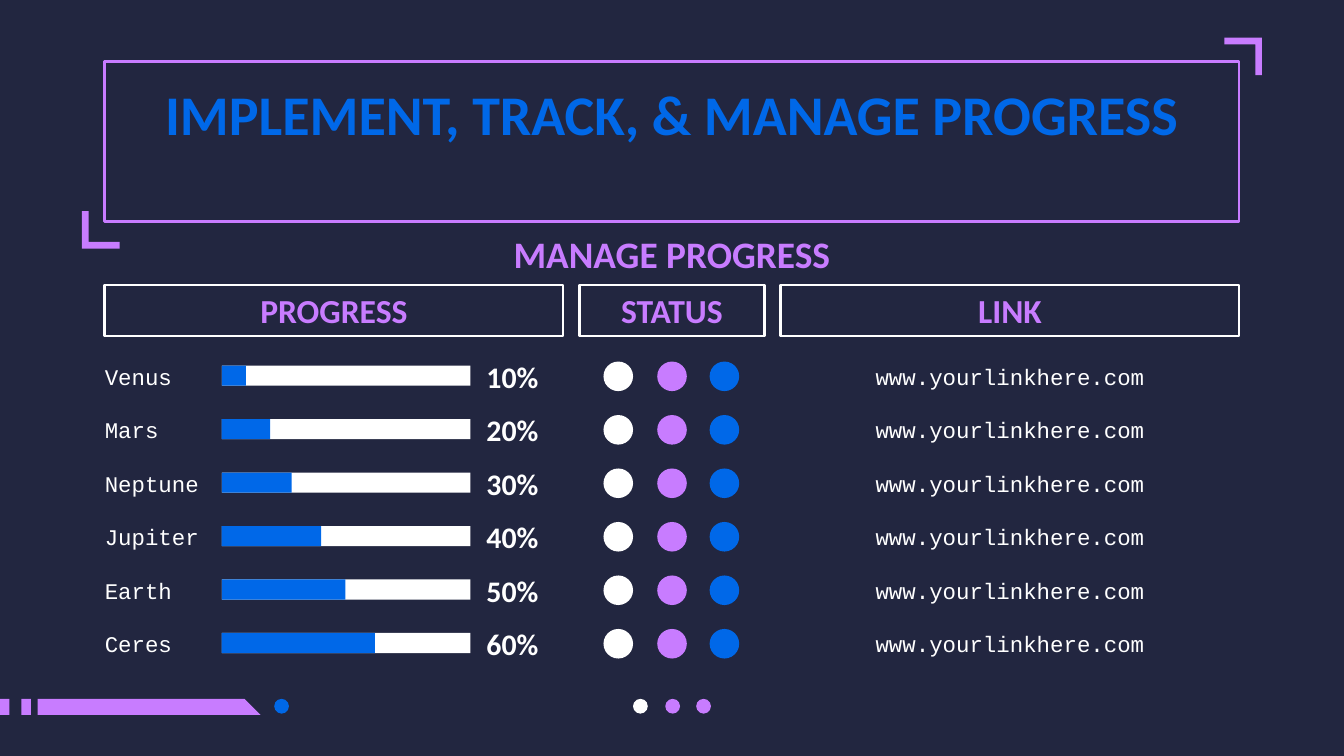
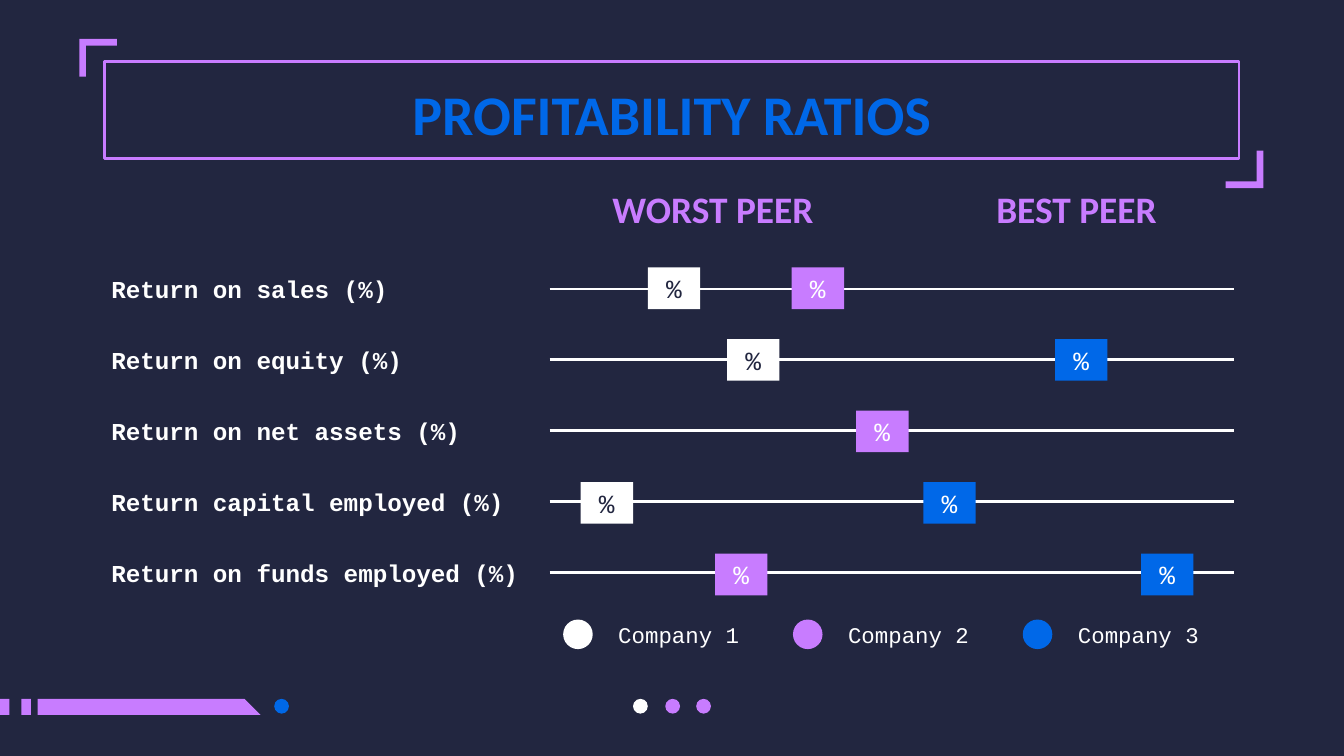
"""Build two dark slides: a progress tracker and a profitability comparison."""
from dataclasses import dataclass
from typing import NamedTuple

from lxml import etree
from pptx import Presentation
from pptx import util as u
from pptx.dml.color import RGBColor
from pptx.enum import shapes, text
from pptx.oxml.ns import qn

NAVY, PURPLE, BLUE, WHITE = "222640", "C87CFF", "0068E8", "FFFFFF"
SERIES = (WHITE, PURPLE, BLUE)
HEADING_FONT, BODY_FONT = "Calibri", "Courier New"
LEFT, WIDTH = 0.78, 8.44
DOT, PAGE_DOT = 0.22, 0.11
STATUS_LEFTS = (4.49, 4.89, 5.28)
PAGE_DOTS = ((4.71, WHITE), (4.95, PURPLE), (5.18, PURPLE), (2.04, BLUE))
RECT, OVAL = shapes.MSO_SHAPE.RECTANGLE, shapes.MSO_SHAPE.OVAL
START, CENTER = text.PP_ALIGN.LEFT, text.PP_ALIGN.CENTER
MIDDLE, TOP = text.MSO_ANCHOR.MIDDLE, text.MSO_ANCHOR.TOP


class Area(NamedTuple):
    """Place and size in inches."""
    left: float
    top: float
    width: float
    height: float


class Insets(NamedTuple):
    """Text margins in inches."""
    left: float = 0.1
    top: float = 0.1
    right: float = 0.1
    bottom: float = 0.1


@dataclass(frozen=True)
class Style:
    """Look of one piece of text."""
    font: str
    size: int
    color: str
    bold: bool = False
    align: text.PP_ALIGN = CENTER
    anchor: text.MSO_ANCHOR = MIDDLE
    insets: Insets = Insets()


class Bracket(NamedTuple):
    """Corner mark: outer corner and the directions of its arms."""
    left: float
    top: float
    across: int
    down: int


class Header(NamedTuple):
    """Column heading of the tracker."""
    label: str
    left: float
    width: float


class Task(NamedTuple):
    """Tracker row with the length of its filled bar."""
    name: str
    percent: str
    bar: float


class Ratio(NamedTuple):
    """Ratio row with (left, series index) for each marker."""
    label: str
    markers: tuple[tuple[float, int], ...]


FLUSH = Insets(0, 0, 0, 0)
TITLE = Style(HEADING_FONT, 30, BLUE, True, anchor=TOP)
SUBTITLE = Style(HEADING_FONT, 20, PURPLE, True)
COLUMN = Style(HEADING_FONT, 18, PURPLE, True)
PERCENT = Style(HEADING_FONT, 16, WHITE, True, START, insets=FLUSH)
LABEL = Style(BODY_FONT, 12, WHITE, align=START, insets=FLUSH)
LINK = Style(BODY_FONT, 12, WHITE, insets=FLUSH)
RATIO = Style(BODY_FONT, 13, WHITE, True, START, insets=Insets(right=0))

HEADERS = (Header("PROGRESS", 0.78, 3.41), Header("STATUS", 4.31, 1.38),
           Header("LINK", 5.81, 3.41))
TASKS = (
    Task("Venus", "10%", 0.18),
    Task("Mars", "20%", 0.36),
    Task("Neptune", "30%", 0.52),
    Task("Jupiter", "40%", 0.74),
    Task("Earth", "50%", 0.92),
    Task("Ceres", "60%", 1.14),
)
RATIOS = (
    Ratio("Return on sales (%)", ((4.82, 0), (5.89, 1))),
    Ratio("Return on equity (%)", ((5.41, 0), (7.85, 2))),
    Ratio("Return on net assets (%)", ((6.37, 1),)),
    Ratio("Return capital employed (%)", ((4.32, 0), (6.87, 2))),
    Ratio("Return on funds employed (%)", ((5.32, 1), (8.49, 2))),
)


def rgb(color: str) -> RGBColor:
    """Turn a hex string into a colour."""
    return RGBColor.from_string(color)


def lengths(values) -> list:
    """Convert numbers to inches."""
    return [u.Inches(value) for value in values]


def spread(first: float, last: float, count: int) -> list[float]:
    """Space positions evenly from first to last."""
    return [first + (last - first) * index / (count - 1) for index in range(count)]


def write(box, content: str, style: Style) -> None:
    """Put one styled paragraph into a box."""
    frame = box.text_frame
    frame.word_wrap = True
    frame.vertical_anchor = style.anchor
    (frame.margin_left, frame.margin_top,
     frame.margin_right, frame.margin_bottom) = lengths(style.insets)
    para = frame.paragraphs[0]
    para.alignment = style.align
    span = para.add_run()
    span.text = content
    span.font.name = style.font
    span.font.size = u.Pt(style.size)
    span.font.bold = style.bold
    span.font.color.rgb = rgb(style.color)


def add_text(page, area: Area, content: str, style: Style) -> None:
    """Add a text box."""
    write(page.shapes.add_textbox(*lengths(area)), content, style)


def paint(shape, fill: str | None, line: str | None = None) -> None:
    """Set fill and outline, without a shadow."""
    shape.shadow.inherit = False
    if fill:
        shape.fill.solid()
        shape.fill.fore_color.rgb = rgb(fill)
    else:
        shape.fill.background()
    if line:
        shape.line.color.rgb = rgb(line)
        shape.line.width = u.Pt(1.5)
    else:
        shape.line.fill.background()


def add_shape(page, kind, area: Area, fill: str | None, line: str | None = None):
    """Add a painted preset shape."""
    shape = page.shapes.add_shape(kind, *lengths(area))
    paint(shape, fill, line)
    return shape


def add_dot(page, left: float, top: float, size: float, color: str) -> None:
    """Add a filled circle."""
    add_shape(page, OVAL, Area(left, top, size, size), color)


def add_outline(page, contours, fill: str) -> None:
    """Add one freeform made of closed contours."""
    points = [[tuple(lengths(point)) for point in contour] for contour in contours]
    builder = page.shapes.build_freeform(*points[0][0])
    for index, contour in enumerate(points):
        if index:
            builder.move_to(*contour[0])
        builder.add_line_segments(contour[1:], close=True)
    paint(builder.convert_to_shape(), fill)


def add_bracket(page, mark: Bracket) -> None:
    """Add an L-shaped corner mark."""
    arm, thick = 0.28, 0.05
    steps = ((0, 0), (arm, 0), (arm, thick), (thick, thick), (thick, arm), (0, arm))
    add_outline(page, [[(mark.left + x * mark.across, mark.top + y * mark.down)
                        for x, y in steps]], PURPLE)


def add_rule(page, left: float, right: float, top: float) -> None:
    """Add a white horizontal line."""
    rule = page.shapes.add_connector(
        shapes.MSO_CONNECTOR.STRAIGHT, *lengths((left, top, right, top)))
    rule.line.color.rgb = rgb(WHITE)
    rule.line.width = u.Pt(1.5)
    etree.SubElement(rule._element.spPr, qn("a:effectLst"))


def add_footer(page) -> None:
    """Draw the footer band and page dots."""
    top, bottom = 5.2, 5.32
    spans = ((0, 0.07, 0.07), (0.16, 0.23, 0.23), (0.28, 1.94, 1.82))
    add_outline(page, [[(left, top), (left, bottom), (low, bottom), (high, top)]
                       for left, low, high in spans], PURPLE)
    for left, color in PAGE_DOTS:
        add_dot(page, left, top, PAGE_DOT, color)


def add_page(deck, title: str, frame_height: float, marks: tuple[Bracket, ...]):
    """Add a slide with background, footer and framed title."""
    page = deck.slides.add_slide(deck.slide_layouts[6])
    page.background.fill.solid()
    page.background.fill.fore_color.rgb = rgb(NAVY)
    add_footer(page)
    add_shape(page, RECT, Area(LEFT, 0.46, WIDTH, frame_height), None, PURPLE)
    for mark in marks:
        add_bracket(page, mark)
    add_text(page, Area(LEFT, 0.49, WIDTH, 0.63), title, TITLE)
    return page


def build_progress(deck) -> None:
    """Build the progress tracker."""
    page = add_page(deck, "IMPLEMENT, TRACK, & MANAGE PROGRESS", 1.19,
                    (Bracket(0.61, 1.85, 1, -1), Bracket(9.39, 0.28, -1, 1)))
    add_text(page, Area(LEFT, 1.7, WIDTH, 0.38), "MANAGE PROGRESS", SUBTITLE)
    for header in HEADERS:
        box = add_shape(page, RECT, Area(header.left, 2.12, header.width, 0.38),
                        None, WHITE)
        write(box, header.label, COLUMN)
    for top, task in zip(spread(2.61, 4.6, len(TASKS)), TASKS):
        add_text(page, Area(LEFT, top, 0.86, 0.38), task.name, LABEL)
        for width, color in ((1.85, WHITE), (task.bar, BLUE)):
            add_shape(page, RECT, Area(1.65, top + 0.11, width, 0.15), color)
        add_text(page, Area(3.62, top, 0.57, 0.38), task.percent, PERCENT)
        for left, color in zip(STATUS_LEFTS, SERIES):
            add_dot(page, left, top + 0.08, DOT, color)
        add_text(page, Area(5.81, top, 3.41, 0.38), "www.yourlinkhere.com", LINK)


def build_ratios(deck) -> None:
    """Build the profitability comparison."""
    page = add_page(deck, "PROFITABILITY RATIOS", 0.72,
                    (Bracket(9.4, 1.4, -1, -1), Bracket(0.59, 0.29, 1, 1)))
    add_text(page, Area(4.06, 1.34, 2.49, 0.42), "WORST PEER", SUBTITLE)
    add_text(page, Area(6.87, 1.34, 2.28, 0.42), "BEST PEER", SUBTITLE)
    label_tops = spread(1.94, 4.05, len(RATIOS))
    marker_tops = spread(1.99, 4.12, len(RATIOS))
    for top, marker_top, ratio in zip(label_tops, marker_tops, RATIOS):
        add_text(page, Area(0.73, top, 3.28, 0.42), ratio.label, RATIO)
        add_rule(page, 4.09, 9.18, top + 0.21)
        for left, series in ratio.markers:
            color = SERIES[series]
            marker = add_shape(page, RECT, Area(left, marker_top, 0.39, 0.31), color)
            write(marker, "%", Style(BODY_FONT, 14, NAVY if color == WHITE else WHITE))
    for index, color in enumerate(SERIES):
        left = 4.19 + 1.71 * index
        add_dot(page, left, 4.61, DOT, color)
        add_text(page, Area(left + 0.41, 4.57, 1.21, 0.31),
                 f"Company {index + 1}", LABEL)


def main() -> None:
    """Build and save the deck."""
    deck = Presentation()
    deck.slide_width = u.Inches(10)
    deck.slide_height = deck.slide_width * 9 // 16
    build_progress(deck)
    build_ratios(deck)
    deck.save("out.pptx")


if __name__ == "__main__":
    main()
